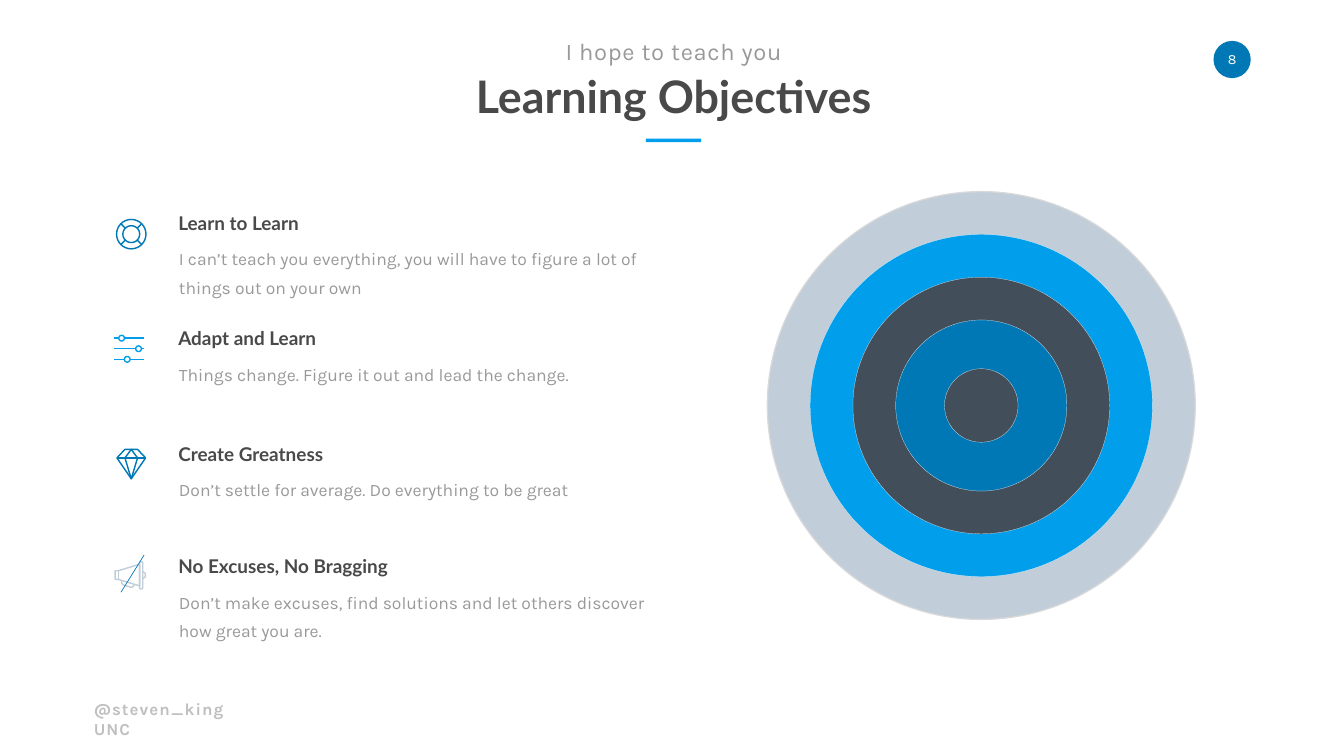
from dataclasses import dataclass
from math import cos, pi, sin

from lxml import etree
from pptx import Presentation
from pptx.dml.color import RGBColor
from pptx.enum.shapes import MSO_CONNECTOR, MSO_SHAPE
from pptx.enum.text import MSO_ANCHOR, PP_ALIGN
from pptx.oxml.ns import qn
from pptx.util import Pt

OVAL, RECTANGLE = MSO_SHAPE.OVAL, MSO_SHAPE.RECTANGLE
STRAIGHT = MSO_CONNECTOR.STRAIGHT
LEFT, CENTER = PP_ALIGN.LEFT, PP_ALIGN.CENTER
TOP, MIDDLE = MSO_ANCHOR.TOP, MSO_ANCHOR.MIDDLE


@dataclass(frozen=True)
class Theme:
    """Colours, fonts, type sizes and stroke widths of the slide."""
    white: str = "FFFFFF"
    blue: str = "0178B6"
    sky: str = "009EEB"
    slate: str = "424F5A"
    mist: str = "C1CEDA"
    rim: str = "D9D9D9"
    ink: str = "494949"
    grey: str = "999999"
    pale: str = "BFBFBF"
    display: str = "Lato"
    text: str = "Karla"
    title_size: float = 64
    kicker_size: float = 34
    heading_size: float = 27
    body_size: float = 25
    footer_size: float = 24
    number_size: float = 20
    body_leading: float = 40.3
    stroke: float = 2


THEME = Theme()

OBJECTIVES = [
    (298.8, 203.8, "Learn to Learn",
     "I can’t teach you everything, you will have to figure a lot of things out on your own"),
    (463.7, 229.7, "Adapt and Learn",
     "Things change. Figure it out and lead the change."),
    (628.6, 240.5, "Create Greatness",
     "Don’t settle for average. Do everything to be great"),
    (789.1, 347.8, "No Excuses, No Bragging",
     "Don’t make excuses, find solutions and let others discover how great you are."),
]


def paint(shape, fill=None, line=None, width=THEME.stroke):
    """Set the fill and outline of a shape, either of which may be absent."""
    shape.shadow.inherit = False
    if fill:
        shape.fill.solid()
        shape.fill.fore_color.rgb = RGBColor.from_string(fill)
    else:
        shape.fill.background()
    if line:
        shape.line.color.rgb = RGBColor.from_string(line)
        shape.line.width = Pt(width)
    else:
        shape.line.fill.background()


def add_block(slide, preset, box, **look):
    """Add a painted preset shape in a left, top, width, height box."""
    paint(slide.shapes.add_shape(preset, *map(Pt, box)), **look)


def add_circle(slide, x, y, radius, **look):
    """Add a painted circle around a centre."""
    add_block(slide, OVAL, (x - radius, y - radius, 2 * radius, 2 * radius), **look)


def add_line(slide, start, end, colour, width):
    """Add a straight line without shadow."""
    line = slide.shapes.add_connector(STRAIGHT, *map(Pt, (*start, *end)))
    line.line.color.rgb = RGBColor.from_string(colour)
    line.line.width = Pt(width)
    etree.SubElement(line._element.spPr, qn("a:effectLst"))


def closed(*points):
    """Return the points with the first repeated at the end."""
    return [*points, points[0]]


def ring_points(x, y, radius, steps=32):
    """Return a closed contour that runs round a centre."""
    angles = (2 * pi * step / steps for step in range(steps))
    return closed(*((x + radius * cos(a), y + radius * sin(a)) for a in angles))


def add_icon(slide, origin, contours, colour):
    """Add one stroked outline from contours measured from an origin."""
    placed = [[(Pt(origin[0] + x), Pt(origin[1] + y)) for x, y in contour]
              for contour in contours]
    builder = slide.shapes.build_freeform(*placed[0][0])
    for start, *others in placed:
        builder.move_to(*start)
        builder.add_line_segments(others, close=False)
    paint(builder.convert_to_shape(), line=colour)


def add_text(slide, box, content, size, font, colour, bold=False, align=LEFT,
             anchor=TOP, wrap=False, insets=(7.2, 3.6), leading=None, tracking=0):
    """Add a text box holding one styled run."""
    frame = slide.shapes.add_textbox(*map(Pt, box)).text_frame
    frame.word_wrap = wrap
    frame.vertical_anchor = anchor
    frame.margin_left = frame.margin_right = Pt(insets[0])
    frame.margin_top = frame.margin_bottom = Pt(insets[1])
    paragraph = frame.paragraphs[0]
    paragraph.alignment = align
    if leading:
        paragraph.line_spacing = Pt(leading)
    run = paragraph.add_run()
    run.text = content
    run.font.size = Pt(size)
    run.font.name = font
    run.font.bold = bold
    run.font.color.rgb = RGBColor.from_string(colour)
    if tracking:
        run._r.get_or_add_rPr().set("spc", str(int(tracking * 100)))


def add_header(slide):
    """Add the kicker, title, accent rule and page number."""
    add_text(slide, (653, 97.6, 617.8, 77.8), "Learning Objectives", THEME.title_size,
             THEME.display, THEME.ink, bold=True, align=CENTER, anchor=MIDDLE, insets=(0, 0))
    add_text(slide, (807.1, 52.6, 310.3, 41), "I hope to teach you", THEME.kicker_size,
             THEME.text, THEME.grey, align=CENTER, anchor=MIDDLE, insets=(0, 0), tracking=1)
    add_block(slide, RECTANGLE, (922.3, 198, 79.2, 5), fill=THEME.sky)
    add_circle(slide, 1759.7, 85, 26.6, fill=THEME.blue)
    add_text(slide, (1735.2, 64.8, 49, 38.9), "8", THEME.number_size, THEME.text,
             THEME.white, align=CENTER, insets=(14.4, 7.2))


def add_footer(slide):
    """Add the author's handle."""
    add_text(slide, (133.9, 1012.8, 245.5, 28.8), "@steven_king UNC", THEME.footer_size,
             THEME.text, THEME.pale, bold=True, anchor=MIDDLE, wrap=True,
             insets=(0, 0), tracking=1.5)


def add_objective(slide, top, heading_width, heading, body):
    """Add one heading with its explanation below."""
    add_text(slide, (247.6, top, heading_width, 40.3), heading, THEME.heading_size,
             THEME.display, THEME.ink, bold=True)
    add_text(slide, (248.5, top + 42.3, 690, 87), body, THEME.body_size, THEME.text,
             THEME.grey, wrap=True, leading=THEME.body_leading)


def add_lifebuoy(slide, center):
    """Add the lifebuoy icon around a centre."""
    inner, outer = 12, 21
    diagonals = [pi / 4 + quarter * pi / 2 for quarter in range(4)]
    spokes = [[(r * cos(a), r * sin(a)) for r in (inner, outer)] for a in diagonals]
    rims = [ring_points(0, 0, radius) for radius in (inner, outer)]
    add_icon(slide, center, rims + spokes, THEME.blue)


def add_sliders(slide, origin):
    """Add the icon of three sliders, each with its knob."""
    length, gap, radius = 43, 15.1, 4
    contours = []
    for row, knob in enumerate((10.5, 34.7, 18.5)):
        y = row * gap
        contours += [[(0, y), (knob - radius, y)], ring_points(knob, y, radius),
                     [(knob + radius, y), (length, y)]]
    add_icon(slide, origin, contours, THEME.sky)


def add_diamond(slide, origin):
    """Add the cut diamond icon."""
    rim = closed((13, 1), (31, 1), (42.5, 13.2), (22, 43), (1.5, 13.2))
    facets = closed((22, 1), (31, 13.2), (22, 43), (13, 13.2))
    girdle = [(1.5, 13.2), (42.5, 13.2)]
    add_icon(slide, origin, [rim, facets, girdle], THEME.blue)


def add_megaphone(slide, origin):
    """Add the struck-out megaphone icon."""
    left, top = origin
    horn = closed((1, 14), (5.5, 14), (36, 4.7), (36, 35.6), (5.5, 26.3), (1, 26.3))
    neck = [(5.5, 14), (5.5, 26.3)]
    handle = [(10.5, 28.5), (10.5, 32), (12.5, 34.2), (24, 37.8), (27, 36.5), (28, 33.5)]
    rim = closed((36, 2.5), (37.2, 1), (39.3, 1), (40.5, 2.5),
                 (40.5, 38.5), (39.3, 40), (37.2, 40), (36, 38.5))
    mouth = [(40.5, 15), (44.3, 18), (44.3, 22.5), (40.5, 25.5)]
    add_icon(slide, origin, [horn, neck, handle, rim, mouth], THEME.mist)
    add_line(slide, (left + 42.5, top - 8.6), (left + 9.4, top + 44.6), THEME.blue, width=1)


def add_target(slide, x, y):
    """Add the concentric rings, from the widest to the bull's-eye."""
    ring = 61.12
    add_circle(slide, x, y, 5 * ring, fill=THEME.mist, line=THEME.rim, width=1.75)
    inner = [(4 * ring, THEME.sky), (3 * ring, THEME.slate),
             (2 * ring, THEME.blue), (52.56, THEME.slate)]
    for radius, colour in inner:
        add_circle(slide, x, y, radius, fill=colour, line=THEME.white, width=0.25)


def main():
    """Build the slide and save it."""
    deck = Presentation()
    deck.slide_width, deck.slide_height = Pt(1919.52), Pt(1080)
    slide = deck.slides.add_slide(deck.slide_layouts[6])
    add_header(slide)
    add_footer(slide)
    for objective in OBJECTIVES:
        add_objective(slide, *objective)
    add_lifebuoy(slide, (187.5, 334.5))
    add_sliders(slide, (163.2, 483.1))
    add_diamond(slide, (165.5, 641))
    add_megaphone(slide, (163.4, 801.4))
    add_target(slide, 1401.5, 579.3)
    deck.save("out.pptx")


if __name__ == "__main__":
    main()
